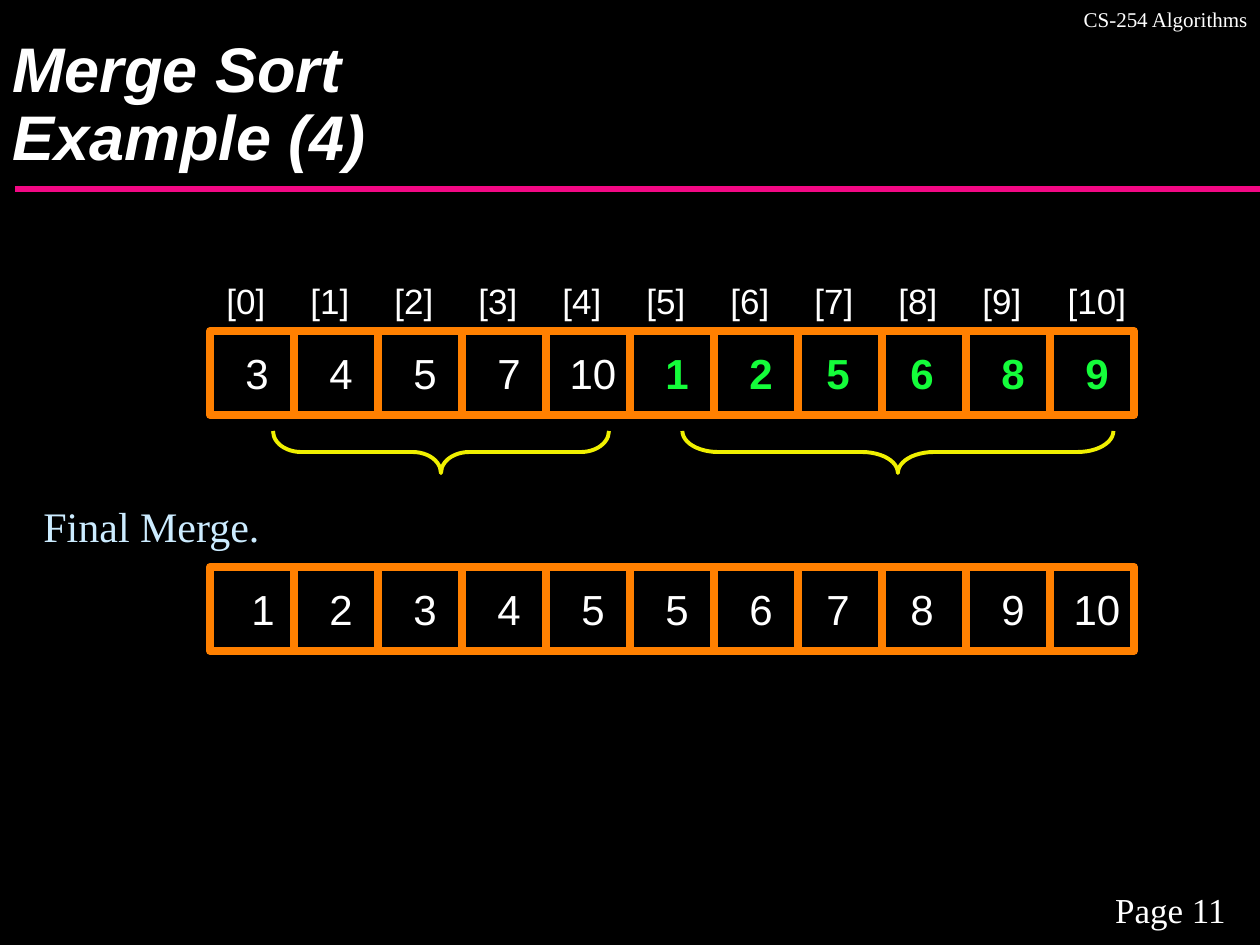
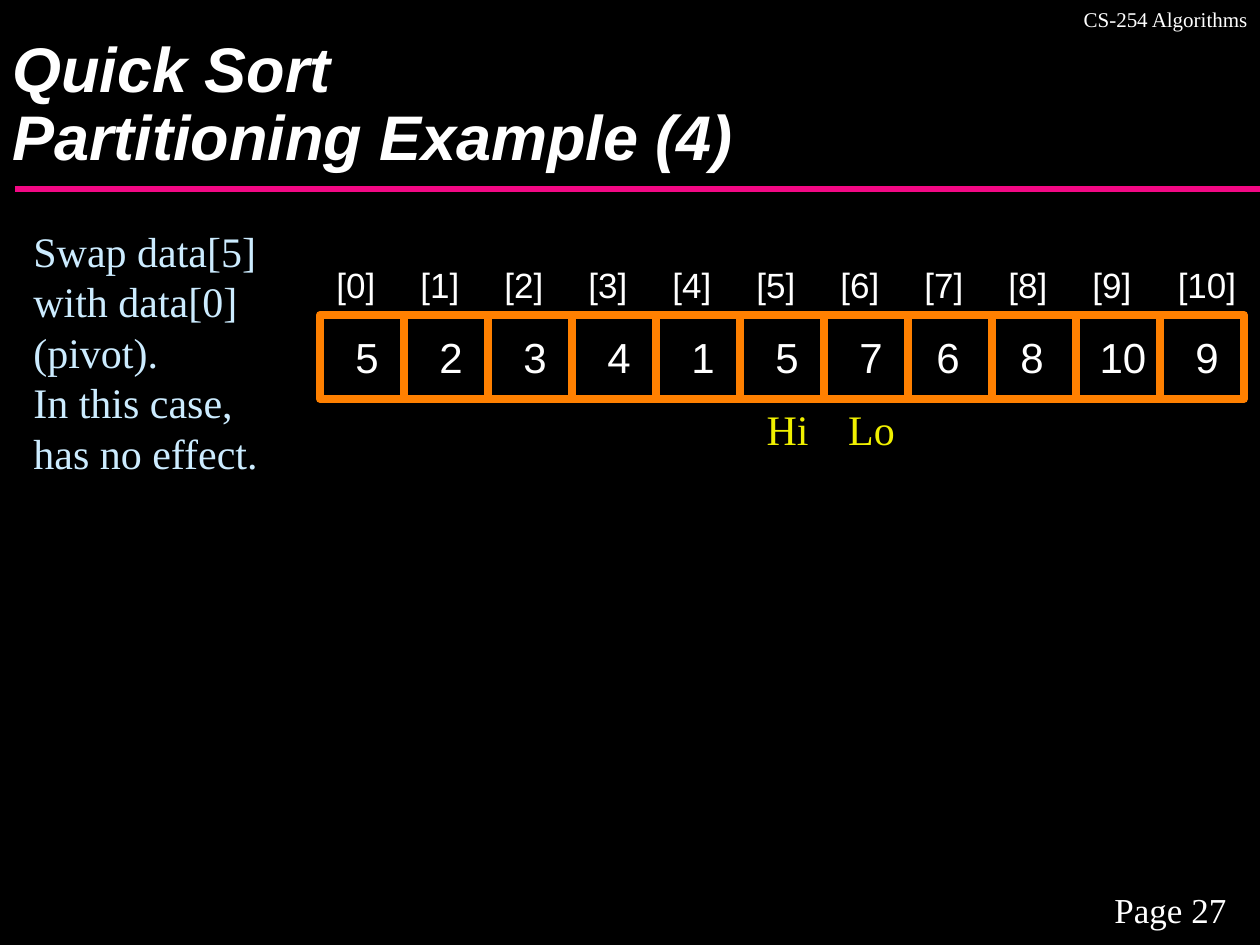
from pptx import Presentation, util as u
from pptx.dml.color import RGBColor
from pptx.enum import shapes, text
from pptx.oxml.ns import qn
from lxml import etree

PX = 914400 / 126
WHITE, PINK, ORANGE = "FFFFFF", "F20884", "FF8000"
GREEN, YELLOW, PALE = "14FD3A", "F0F000", "CCECFF"
SANS, SERIF = "Arial", "Times New Roman"
LEFT, MID, RIGHT = text.PP_ALIGN.LEFT, text.PP_ALIGN.CENTER, text.PP_ALIGN.RIGHT
TOP, CENTRE, BASE = text.MSO_ANCHOR.TOP, text.MSO_ANCHOR.MIDDLE, text.MSO_ANCHOR.BOTTOM
STEP = 84  # side of an array cell


def px(*sizes):
    return [u.Emu(round(size * PX)) for size in sizes]


def write(slide, box, words, size, font=SERIF, color=WHITE, align=MID,
          anchor=CENTRE, bold=False, italic=False, lead=1.2):
    frame = slide.shapes.add_textbox(*px(*box)).text_frame
    frame.word_wrap = True
    frame.vertical_anchor = anchor
    for n, line in enumerate(words):
        para = frame.paragraphs[0] if n == 0 else frame.add_paragraph()
        para.text = line
        para.alignment = align
        para.line_spacing = u.Pt(size * lead)
        for run in para.runs:
            run.font.name, run.font.size = font, u.Pt(size)
            run.font.bold, run.font.italic = bold, italic
            run.font.color.rgb = RGBColor.from_string(color)


deck = Presentation()
deck.slide_width, deck.slide_height = px(1260, 945)

# Title, page, and arrays: left, top, indexed, values, first green cell, nudges
pages = [
    ("Merge Sort\nExample (4)", 11, [
        (210, 331, True, [3, 4, 5, 7, 10, 1, 2, 5, 6, 8, 9], 5, {7: -7, 8: -7}),
        (210, 567, False, [1, 2, 3, 4, 5, 5, 6, 7, 8, 9, 10], 11, {0: 6, 7: -7, 8: -7}),
    ]),
    ("Quick Sort\nPartitioning Example (4)", 27, [
        (320, 315, True, [5, 2, 3, 4, 1, 5, 7, 6, 8, 10, 9], 11, {7: -7, 8: -7}),
    ]),
]

for title, page, arrays in pages:
    slide = deck.slides.add_slide(deck.slide_layouts[6])
    slide.background.fill.solid()
    slide.background.fill.fore_color.rgb = RGBColor.from_string("000000")

    # Rule, footer, header and title
    rule = slide.shapes.add_connector(shapes.MSO_CONNECTOR.STRAIGHT, *px(15, 189, 1260, 189))
    rule.line.color.rgb = RGBColor.from_string(PINK)
    rule.line.width = u.Pt(3.75)
    etree.SubElement(rule._element.spPr, qn("a:effectLst"))
    write(slide, (1081, 882, 179, 54), [f"Page {page}"], 20, anchor=TOP)
    write(slide, (703, 0, 557, 38), ["CS-254 Algorithms"], 12, align=RIGHT, anchor=TOP)
    write(slide, (0, 0, 1260, 179), [title], 36, SANS, align=LEFT, anchor=BASE,
          bold=True, italic=True, lead=1.07)

    # Arrays: indexes, cells, then values
    for left, top, indexed, values, green, nudge in arrays:
        if indexed:
            for i in range(len(values)):
                x = left - 14 + i * STEP + (11 if i == 10 else 0)
                write(slide, (x, top - 58, 100, 54), [f"[{i}]"], 20, SANS)
        for i in range(len(values)):
            cell = slide.shapes.add_shape(
                shapes.MSO_SHAPE.RECTANGLE, *px(left + i * STEP, top, STEP, STEP))
            cell.shadow.inherit = False
            cell.fill.background()
            cell.line.color.rgb = RGBColor.from_string(ORANGE)
            cell.line.width = u.Pt(4.5)
        for i, value in enumerate(values):
            x = left + 9 + i * STEP + nudge.get(i, 0)
            write(slide, (x, top + 17, 76, 50), [str(value)], 24, SANS,
                  GREEN if i >= green else WHITE, bold=i >= green)

merge, quick = deck.slides

# Braces under the two sorted halves: centre, span, curve
for mid, span, curve in [(441, 336, 0.67), (898, 431, 0.85)]:
    brace = merge.shapes.add_shape(
        shapes.MSO_SHAPE.LEFT_BRACE, *px(mid - 21, 452 - span / 2, 42, span))
    brace.rotation = 270
    brace.adjustments[0] = curve
    brace.shadow.inherit = False
    brace.fill.background()
    brace.line.color.rgb = RGBColor.from_string(YELLOW)
    brace.line.width = u.Pt(2.25)

# Remarks and markers
write(merge, (31, 494, 336, 63), ["Final Merge."], 24, color=PALE, align=LEFT)
write(quick, (21, 219, 283, 265),
      ["Swap data[5] with data[0] (pivot).", "In this case, has no effect."],
      24, color=PALE, align=LEFT)
for n, mark in enumerate(["Hi", "Lo"]):
    write(quick, (735 + n * STEP, 397, 105, 63), [mark], 24, color=YELLOW)

deck.save("out.pptx")
